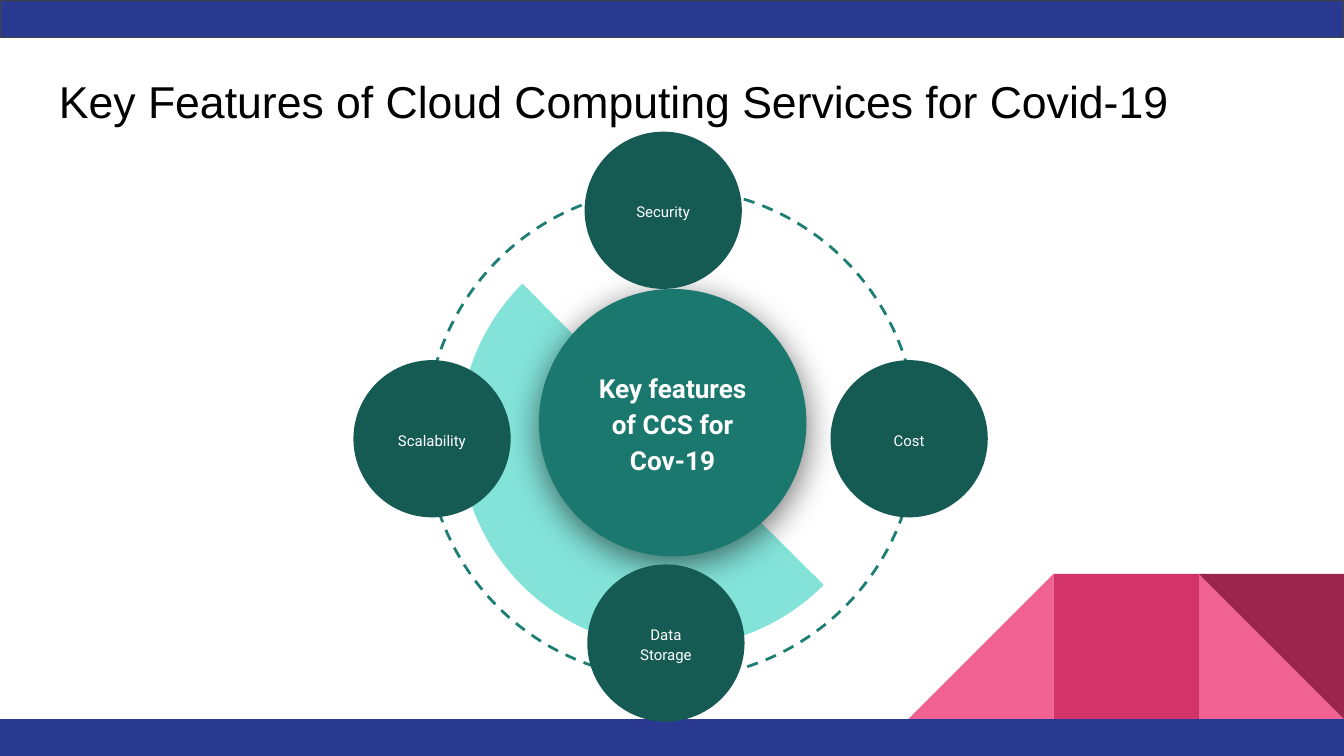
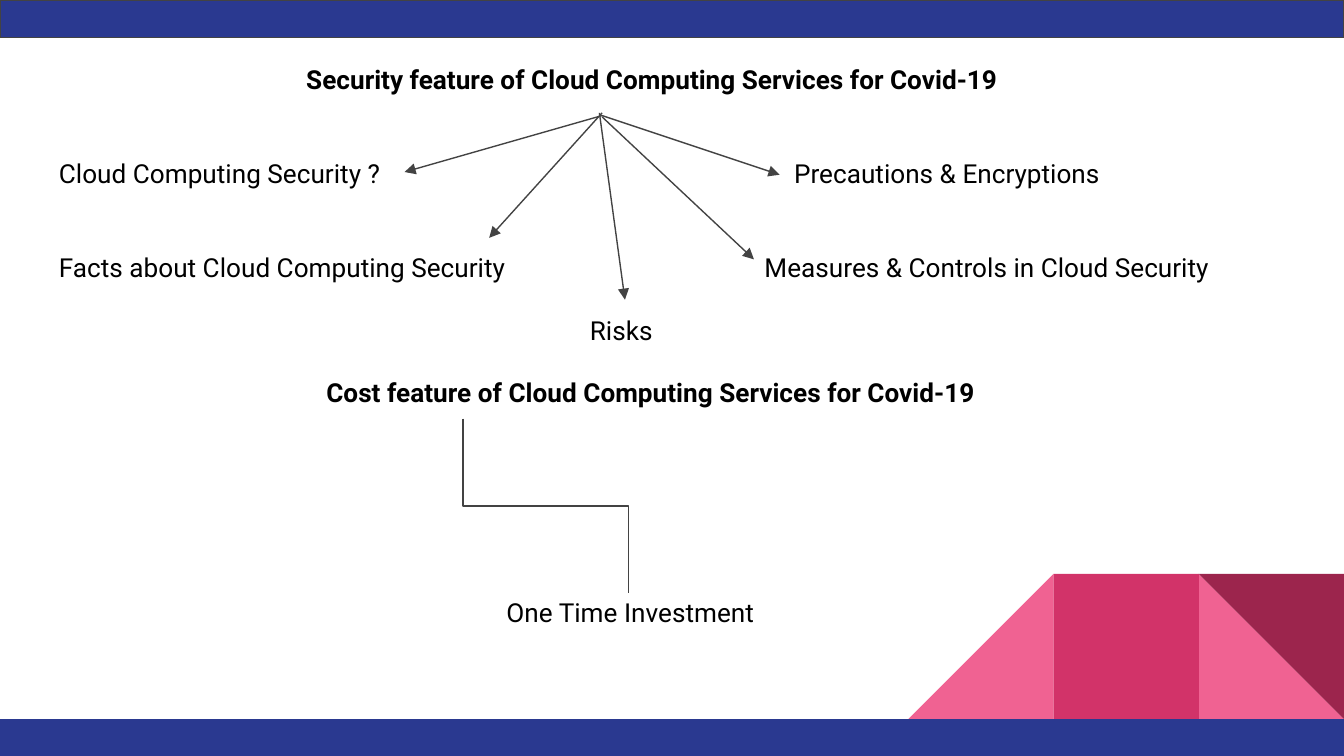
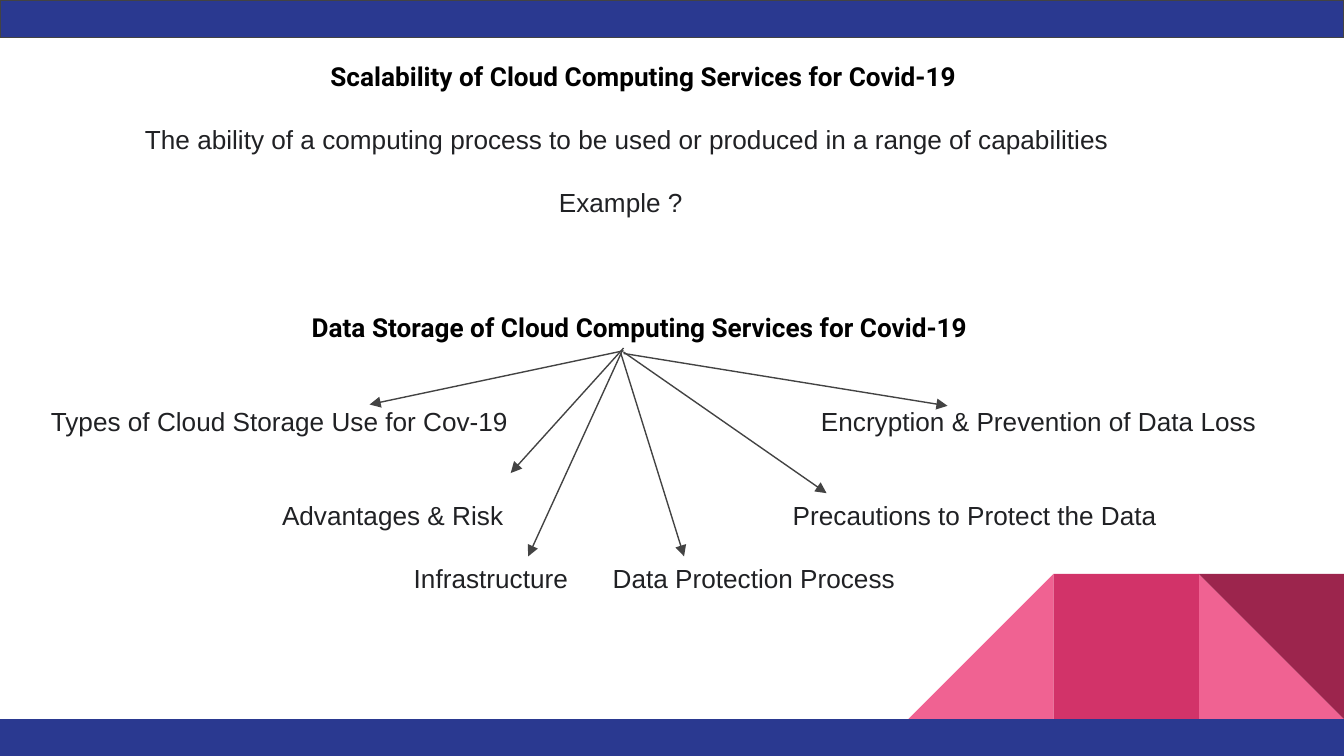
from dataclasses import dataclass

from lxml import etree
from pptx import Presentation
from pptx.dml.color import RGBColor
from pptx.enum.dml import MSO_LINE
from pptx.enum.shapes import MSO_CONNECTOR, MSO_SHAPE
from pptx.enum.text import MSO_ANCHOR, PP_ALIGN
from pptx.oxml.ns import qn
from pptx.util import Inches, Pt

RECTANGLE = MSO_SHAPE.RECTANGLE
TRIANGLE = MSO_SHAPE.RIGHT_TRIANGLE
CIRCLE = MSO_SHAPE.OVAL
PIE = MSO_SHAPE.PIE
DASH = MSO_LINE.DASH
STRAIGHT = MSO_CONNECTOR.STRAIGHT
ELBOW = MSO_CONNECTOR.ELBOW
TOP, MIDDLE = MSO_ANCHOR.TOP, MSO_ANCHOR.MIDDLE
LEFT, CENTER = PP_ALIGN.LEFT, PP_ALIGN.CENTER


@dataclass(frozen=True)
class Theme:
    navy: str = "2A3990"
    light_pink: str = "F06292"
    pink: str = "D23369"
    wine: str = "9C254D"
    black: str = "000000"
    ink: str = "202124"
    white: str = "FFFFFF"
    grey: str = "434343"
    ring: str = "1D7E74"
    mint: str = "83E3D9"
    hub: str = "1B786E"
    bubble: str = "155B54"
    title_size: float = 23.9
    body_size: float = 14
    bubble_size: float = 8
    line_pitch: float = 16.8
    hairline: float = 0.75
    plain_font: str = "Arial"
    main_font: str = "Roboto"


THEME = Theme()
PAGE_WIDTH = 10
PAGE_HEIGHT = PAGE_WIDTH * 9 / 16
BAND_HEIGHT = 0.28
TILE = 1.08
TILE_TOP = 4.27
BUBBLE = 1.17
BUBBLE_LABEL = 0.8


@dataclass(frozen=True)
class Bubble:
    text: str
    left: float
    top: float


@dataclass(frozen=True)
class Label:
    text: str
    indent: float = 0


@dataclass(frozen=True)
class Row:
    labels: tuple[Label, ...]
    lines_above: int = 0
    heading: bool = False


@dataclass(frozen=True)
class Arrow:
    start: tuple[float, float]
    end: tuple[float, float]


BUBBLES = (
    Bubble("Security", 4.35, 0.98),
    Bubble("Data Storage", 4.37, 4.2),
    Bubble("Cost", 6.18, 2.68),
    Bubble("Scalability", 2.63, 2.68),
)

SECURITY_ROWS = (
    Row((Label("Security feature of Cloud Computing Services for Covid-19", 1.84),), heading=True),
    Row((Label("Cloud Computing Security ?"), Label("Precautions & Encryptions", 5.47)), 2),
    Row((Label("Facts about Cloud Computing Security"),
         Label("Measures & Controls in Cloud Security", 5.25)), 2),
    Row((Label("Risks", 3.95),), 1),
    Row((Label("Cost feature of Cloud Computing Services for Covid-19", 1.99),), 1, heading=True),
    Row((Label("One Time Investment", 3.33),), 6),
)

SECURITY_ARROWS = (
    Arrow((4.48, 0.86), (3.01, 1.28)),
    Arrow((4.48, 0.84), (3.64, 1.77)),
    Arrow((4.46, 0.84), (4.65, 2.23)),
    Arrow((4.48, 0.87), (5.61, 1.93)),
    Arrow((4.48, 0.86), (5.8, 1.3)),
)

STORAGE_ROWS = (
    Row((Label("Scalability of Cloud Computing Services for Covid-19", 2.08),), heading=True),
    Row((Label("The ability of a computing process to be used or produced in a range of capabilities",
               0.7),), 1),
    Row((Label("Example ?", 3.78),), 1),
    Row((Label("Data Storage of Cloud Computing Services for Covid-19", 1.94),), 3, heading=True),
    Row((Label("Types of Cloud Storage Use for Cov-19"),
         Label("Encryption & Prevention of Data Loss", 5.73)), 2),
    Row((Label("Advantages & Risk", 1.72), Label("Precautions to Protect the Data", 5.52)), 2),
    Row((Label("Infrastructure", 2.7), Label("Data Protection Process", 4.18)), 1),
)

STORAGE_ARROWS = (
    Arrow((4.64, 2.61), (2.75, 3.01)),
    Arrow((4.64, 2.59), (3.8, 3.52)),
    Arrow((4.63, 2.61), (3.93, 4.14)),
    Arrow((4.64, 2.62), (6.15, 3.67)),
    Arrow((4.64, 2.63), (7.05, 3.02)),
    Arrow((4.62, 2.63), (5.09, 4.14)),
)


def color(value: str) -> RGBColor:
    return RGBColor.from_string(value)


def draw_shape(page, kind, left: float, top: float, width: float, height: float, *,
               fill: str | None = None, line: str | None = None,
               weight: float = THEME.hairline, rotation: float = 0):
    shape = page.shapes.add_shape(kind, Inches(left), Inches(top), Inches(width), Inches(height))
    shape.rotation = rotation
    if fill:
        shape.fill.solid()
        shape.fill.fore_color.rgb = color(fill)
    else:
        shape.fill.background()
    if line:
        shape.line.color.rgb = color(line)
        shape.line.width = Pt(weight)
    else:
        shape.line.fill.background()
    shape.shadow.inherit = False
    return shape


def add_text_box(page, left: float, top: float, width: float, height: float, anchor=TOP):
    box = page.shapes.add_textbox(Inches(left), Inches(top), Inches(width), Inches(height))
    frame = box.text_frame
    frame.word_wrap = True
    frame.vertical_anchor = anchor
    frame.margin_left = frame.margin_right = Inches(0.1)
    frame.margin_top = frame.margin_bottom = Inches(0.1)
    return frame


def write_text(para, text: str, *, size: float, font: str = THEME.main_font,
               ink: str = THEME.black, bold: bool = False, align=LEFT,
               spacing: float | None = None) -> None:
    para.alignment = align
    if spacing:
        para.line_spacing = spacing
    span = para.add_run()
    span.text = text
    span.font.size = Pt(size)
    span.font.name = font
    span.font.bold = bold
    span.font.color.rgb = color(ink)


def draw_connector(page, kind, arrow: Arrow, head: bool = True):
    ends = [Inches(value) for value in (*arrow.start, *arrow.end)]
    connector = page.shapes.add_connector(kind, *ends)
    connector.line.color.rgb = color(THEME.grey)
    connector.line.width = Pt(THEME.hairline)
    properties = connector.element.spPr
    if head:
        etree.SubElement(properties.find(qn("a:ln")), qn("a:tailEnd"), type="triangle")
    etree.SubElement(properties, qn("a:effectLst"))
    return connector


def add_page(deck):
    page = deck.slides.add_slide(deck.slide_layouts[6])
    right, middle, left = (PAGE_WIDTH - TILE * count for count in (1, 2, 3))
    draw_shape(page, TRIANGLE, right, TILE_TOP, TILE, TILE, fill=THEME.light_pink)
    slope = draw_shape(page, TRIANGLE, left, TILE_TOP, TILE, TILE, fill=THEME.light_pink)
    slope.element.spPr.find(qn("a:xfrm")).set("flipH", "1")
    draw_shape(page, RECTANGLE, middle, TILE_TOP, TILE, TILE, fill=THEME.pink)
    draw_shape(page, TRIANGLE, right, TILE_TOP, TILE, TILE, fill=THEME.wine, rotation=180)
    draw_shape(page, RECTANGLE, 0, TILE_TOP + TILE, PAGE_WIDTH, BAND_HEIGHT, fill=THEME.navy)
    draw_shape(page, RECTANGLE, 0, 0, PAGE_WIDTH, BAND_HEIGHT, fill=THEME.navy, line=THEME.grey)
    return page


def add_soft_shadow(shape) -> None:
    effects = shape.element.spPr.find(qn("a:effectLst"))
    shadow = etree.SubElement(effects, qn("a:outerShdw"), blurRad=str(Pt(18)), dist=str(Pt(4)),
                              dir="5400000", algn="bl", rotWithShape="0")
    tone = etree.SubElement(shadow, qn("a:srgbClr"), val=THEME.black)
    etree.SubElement(tone, qn("a:alpha"), val="55000")


def draw_bubble(page, bubble: Bubble) -> None:
    draw_shape(page, CIRCLE, bubble.left, bubble.top, BUBBLE, BUBBLE, fill=THEME.bubble)
    margin = (BUBBLE - BUBBLE_LABEL) / 2
    frame = add_text_box(page, bubble.left + margin, bubble.top + margin,
                         BUBBLE_LABEL, BUBBLE_LABEL, MIDDLE)
    write_text(frame.paragraphs[0], bubble.text, size=THEME.bubble_size, ink=THEME.white,
               align=CENTER, spacing=1.15)


def write_rows(frame, rows: tuple[Row, ...], body_font: str, body_ink: str) -> None:
    for index, row in enumerate(rows):
        para = frame.add_paragraph() if index else frame.paragraphs[0]
        para.line_spacing = Pt(THEME.line_pitch)
        para.space_before = Pt(row.lines_above * THEME.line_pitch)
        stops = [label.indent for label in row.labels if label.indent]
        tabs = etree.SubElement(para._p.get_or_add_pPr(), qn("a:tabLst"))
        for stop in stops:
            etree.SubElement(tabs, qn("a:tab"), pos=str(Inches(stop)), algn="l")
        text = "".join("\t" * bool(label.indent) + label.text for label in row.labels)
        write_text(para, text, size=THEME.body_size, bold=row.heading,
                   font=THEME.main_font if row.heading else body_font,
                   ink=THEME.black if row.heading else body_ink)


def build_key_features(deck) -> None:
    page = add_page(deck)
    title = add_text_box(page, 0.34, 0.45, 9.32, 0.66)
    write_text(title.paragraphs[0], "Key Features of Cloud Computing Services for Covid-19",
               size=THEME.title_size, font=THEME.plain_font)
    ring = draw_shape(page, CIRCLE, 3.17, 1.4, 3.65, 3.65, line=THEME.ring, weight=1.5,
                      rotation=270)
    ring.line.dash_style = DASH
    half = draw_shape(page, PIE, 3.42, 1.65, 3.17, 3.17, fill=THEME.mint)
    half.adjustments[0], half.adjustments[1] = 26.9, 135.11
    hub = draw_shape(page, CIRCLE, 4.01, 2.15, 1.99, 1.99, fill=THEME.hub)
    add_soft_shadow(hub)
    hub_label = add_text_box(page, 4.27, 2.69, 1.47, 0.9, MIDDLE)
    write_text(hub_label.paragraphs[0], "Key features of CCS for Cov-19", size=THEME.body_size,
               ink=THEME.white, bold=True, align=CENTER, spacing=1.15)
    for bubble in BUBBLES:
        draw_bubble(page, bubble)


def build_security_and_cost(deck) -> None:
    page = add_page(deck)
    frame = add_text_box(page, 0.34, 0.37, 9.33, 4.92)
    write_rows(frame, SECURITY_ROWS, THEME.main_font, THEME.black)
    for arrow in SECURITY_ARROWS:
        draw_connector(page, STRAIGHT, arrow)
    elbow = draw_connector(page, ELBOW, Arrow((3.41, 3.15), (4.71, 4.38)), head=False)
    placement = elbow.element.spPr.find(qn("a:xfrm"))
    placement.set("rot", "16200000")
    placement.set("flipH", "1")


def build_scalability_and_storage(deck) -> None:
    page = add_page(deck)
    frame = add_text_box(page, 0.28, 0.35, 9.39, 4.68)
    write_rows(frame, STORAGE_ROWS, THEME.plain_font, THEME.ink)
    for arrow in STORAGE_ARROWS:
        draw_connector(page, STRAIGHT, arrow)


def main() -> None:
    deck = Presentation()
    deck.slide_width = Inches(PAGE_WIDTH)
    deck.slide_height = Inches(PAGE_HEIGHT)
    build_key_features(deck)
    build_security_and_cost(deck)
    build_scalability_and_storage(deck)
    deck.save("out.pptx")


if __name__ == "__main__":
    main()
